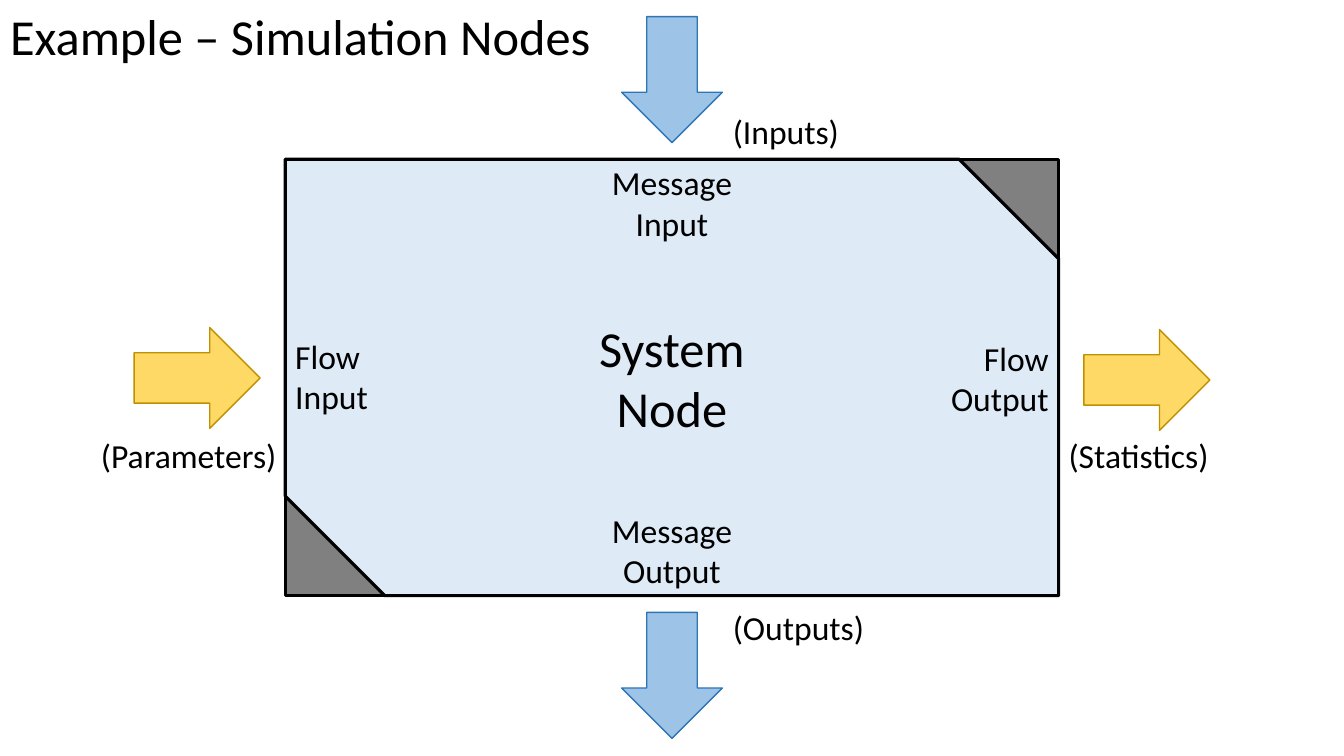
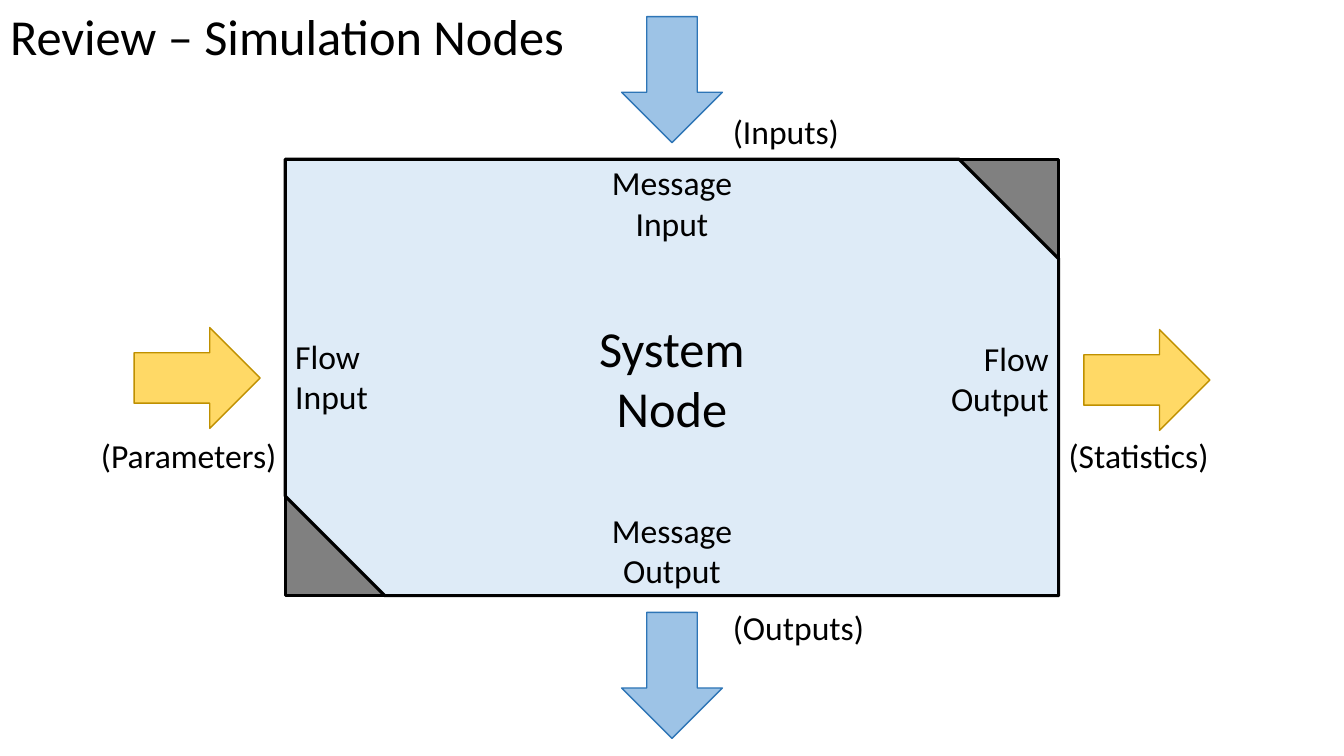
"""Build two slides that show a system node with its flows and messages."""
from pptx import Presentation
from pptx.dml.color import RGBColor
from pptx.enum.shapes import MSO_SHAPE as Shape
from pptx.enum.text import MSO_ANCHOR as Anchor, MSO_AUTO_SIZE as AutoSize, PP_ALIGN as Align
from pptx.util import Inches, Pt

FONT = "Calibri"
COLORS = {
    "text": "000000",
    "outline": "000000",
    "corner": "808080",
    "node": "DEEBF7",
    "message": "9DC3E6",
    "message_line": "2E75B6",
    "flow": "FFD966",
    "flow_line": "BF9000",
}
TITLES = ["Example – Simulation Nodes", "Review – Simulation Nodes"]
TITLE_BOX = (0, 0, 8.67, 0.71)
NODE_BOX = (2.83, 1.58, 7.67, 4.33)
NODE_SNIP = 0.228
ARROW_SIZE = (1.25, 1)
PORT_SIZE = (1.67, 0.91)
CAPTION_SIZE = (1.96, 0.5)
ARROWS = [
    ("message", 6.04, 0.29, 90),
    ("message", 6.04, 6.2, 90),
    ("flow", 1.33, 3.25, 0),
    ("flow", 10.75, 3.27, 0),
]
PORTS = [
    ("Flow\nInput", 2.83, 3.28, Align.LEFT),
    ("Flow\nOutput", 8.83, 3.3, Align.RIGHT),
    ("Message\nInput", 5.83, 1.56, Align.CENTER),
    ("Message\nOutput", 5.83, 5.01, Align.CENTER),
]
CAPTIONS = [
    ("(Parameters)", 0.88, 4.27, Align.RIGHT),
    ("(Statistics)", 10.5, 4.27, Align.LEFT),
    ("(Inputs)", 7.17, 1.05, Align.LEFT),
    ("(Outputs)", 7.17, 5.97, Align.LEFT),
]


def color(name):
    """Return the named colour."""
    return RGBColor.from_string(COLORS[name])


def inches(box):
    """Convert a tuple of numbers to lengths."""
    return [Inches(value) for value in box]


def write(shape, text, size, align, anchor=Anchor.TOP):
    """Put text into a shape, one paragraph per line."""
    frame = shape.text_frame
    frame.text = text
    frame.word_wrap = True
    frame.vertical_anchor = anchor
    for paragraph in frame.paragraphs:
        paragraph.alignment = align
        paragraph.font.name = FONT
        paragraph.font.size = Pt(size)
        paragraph.font.color.rgb = color("text")


def add_filled(shapes, kind, box, fill, line, width):
    """Add a preset shape with a plain fill and outline."""
    shape = shapes.add_shape(kind, *inches(box))
    shape.shadow.inherit = False
    shape.fill.solid()
    shape.fill.fore_color.rgb = color(fill)
    shape.line.color.rgb = color(line)
    shape.line.width = Pt(width)
    return shape


def set_title(slide, text):
    """Fill the title placeholder and move it to the top left."""
    title = slide.shapes.title
    title.left, title.top, title.width, title.height = inches(TITLE_BOX)
    write(title, text, 36, Align.LEFT)
    title.text_frame.auto_size = AutoSize.NONE


def add_node(slide):
    """Add the system node with its two dark corners."""
    group = slide.shapes.add_group_shape()
    add_filled(group.shapes, Shape.RECTANGLE, NODE_BOX, "corner", "outline", 2.25)
    node = add_filled(group.shapes, Shape.SNIP_2_DIAG_RECTANGLE, NODE_BOX, "node", "outline", 2.25)
    node.adjustments[0] = 0
    node.adjustments[1] = NODE_SNIP
    write(node, "System\nNode", 36, Align.CENTER, Anchor.MIDDLE)


def add_arrow(slide, role, left, top, rotation):
    """Add a block arrow in the colours of its role."""
    box = (left, top, *ARROW_SIZE)
    arrow = add_filled(slide.shapes, Shape.RIGHT_ARROW, box, role, f"{role}_line", 1)
    arrow.rotation = rotation


def add_label(slide, text, left, top, align, size):
    """Add a text label."""
    label = slide.shapes.add_textbox(*inches((left, top, *size)))
    write(label, text, 24, align)
    label.text_frame.auto_size = AutoSize.SHAPE_TO_FIT_TEXT


def add_node_slide(presentation, title):
    """Add one slide with the node diagram."""
    slide = presentation.slides.add_slide(presentation.slide_layouts.get_by_name("Title Only"))
    set_title(slide, title)
    add_node(slide)
    for arrow in ARROWS:
        add_arrow(slide, *arrow)
    for labels, size in ((PORTS, PORT_SIZE), (CAPTIONS, CAPTION_SIZE)):
        for label in labels:
            add_label(slide, *label, size)


def main():
    """Build and save the presentation."""
    presentation = Presentation()
    presentation.slide_width = Inches(13.33)
    presentation.slide_height = Inches(7.5)
    for title in TITLES:
        add_node_slide(presentation, title)
    presentation.save("out.pptx")


main()
